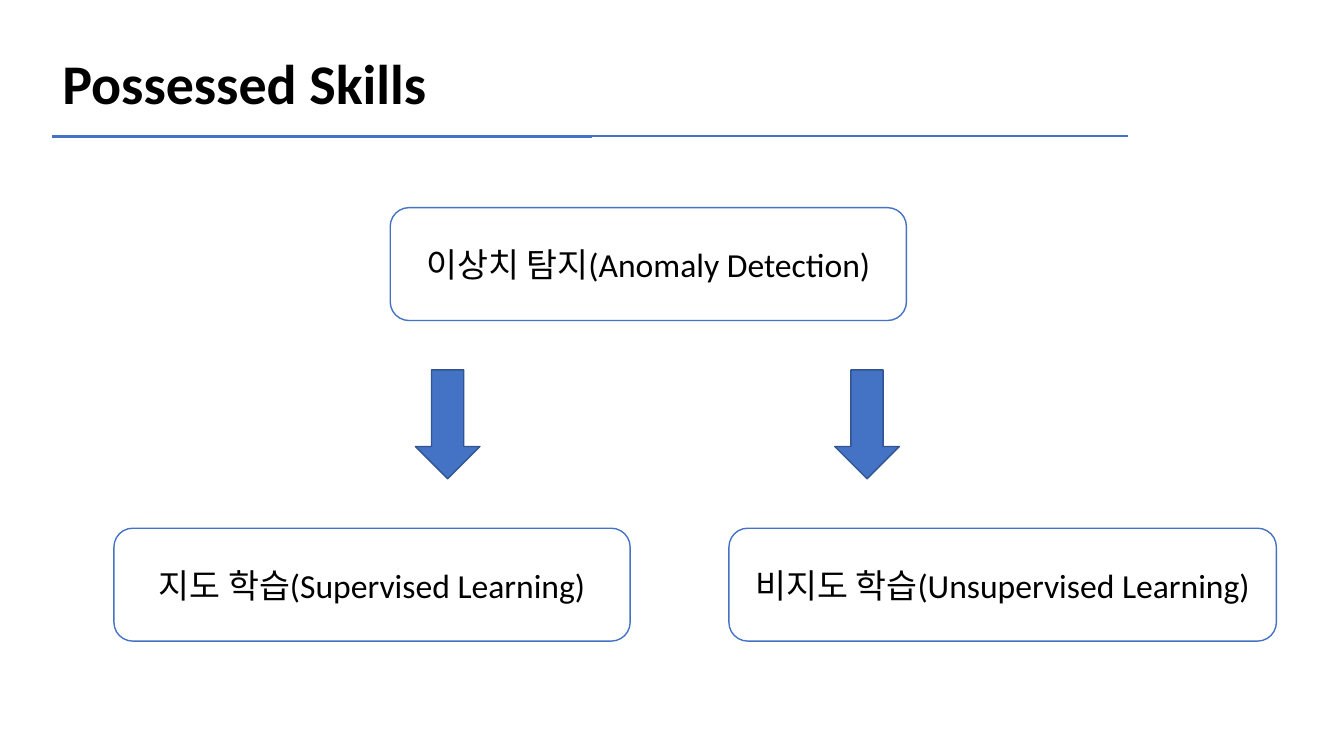
from dataclasses import dataclass

from lxml import etree
from pptx import Presentation
from pptx.dml.color import RGBColor
from pptx.enum.shapes import MSO_CONNECTOR, MSO_SHAPE
from pptx.enum.text import MSO_ANCHOR, PP_ALIGN
from pptx.oxml.ns import qn
from pptx.util import Pt

EMU_PER_PX = 9144  # 100 px to the inch
BLANK_LAYOUT = 6
ROUNDED = MSO_SHAPE.ROUNDED_RECTANGLE
DOWN_ARROW = MSO_SHAPE.DOWN_ARROW
STRAIGHT = MSO_CONNECTOR.STRAIGHT
MIDDLE = MSO_ANCHOR.MIDDLE
LEFT, CENTER = PP_ALIGN.LEFT, PP_ALIGN.CENTER


@dataclass(frozen=True)
class Theme:
    font: str = "Calibri"
    ink: str = "000000"
    paper: str = "FFFFFF"
    accent: str = "4472C4"
    accent_dark: str = "325491"
    title_size: int = 40
    label_size: int = 24
    thin: float = 1
    thick: float = 2.25


def px(*lengths):
    return [length * EMU_PER_PX for length in lengths]


def write(frame, text, *, size, color, font, bold=False, align=LEFT,
          line_spacing=None, space_after=None):
    """Fill a text frame with one vertically centred paragraph."""
    frame.word_wrap = True
    frame.vertical_anchor = MIDDLE
    para = frame.paragraphs[0]
    para.alignment = align
    para.line_spacing = line_spacing
    if space_after is not None:
        para.space_after = Pt(space_after)
    span = para.add_run()
    span.text = text
    span.font.name = font
    span.font.size = Pt(size)
    span.font.bold = bold
    span.font.color.rgb = RGBColor.from_string(color)


class Page:
    def __init__(self, slide, theme):
        self.shapes = slide.shapes
        self.theme = theme

    def title(self, text, left, top, width, height):
        box = self.shapes.add_textbox(*px(left, top, width, height))
        write(box.text_frame, text, size=self.theme.title_size, bold=True,
              color=self.theme.ink, font=self.theme.font,
              line_spacing=0.9, space_after=6)

    def rule(self, left, right, y, weight):
        line = self.shapes.add_connector(STRAIGHT, *px(left, y, right, y))
        line.line.color.rgb = RGBColor.from_string(self.theme.accent)
        line.line.width = Pt(weight)
        etree.SubElement(line._element.spPr, qn("a:effectLst"))

    def shape(self, kind, left, top, width, height, fill, outline):
        shape = self.shapes.add_shape(kind, *px(left, top, width, height))
        shape.shadow.inherit = False
        shape.fill.solid()
        shape.fill.fore_color.rgb = RGBColor.from_string(fill)
        shape.line.color.rgb = RGBColor.from_string(outline)
        shape.line.width = Pt(self.theme.thin)
        return shape

    def topic(self, text, left, top, width):
        box = self.shape(ROUNDED, left, top, width, 112,
                         self.theme.paper, self.theme.accent)
        write(box.text_frame, text, size=self.theme.label_size,
              color=self.theme.ink, font=self.theme.font, align=CENTER)

    def arrow(self, left, top):
        self.shape(DOWN_ARROW, left, top, 64, 108,
                   self.theme.accent, self.theme.accent_dark)


def main():
    deck = Presentation()
    deck.slide_width, deck.slide_height = px(1333, 750)
    theme = Theme()
    page = Page(deck.slides.add_slide(deck.slide_layouts[BLANK_LAYOUT]), theme)

    page.title("Possessed Skills", 52, 4, 656, 164)
    page.rule(52, 587, 135, theme.thick)
    page.rule(584, 1119, 135, theme.thin)

    page.topic("이상치 탐지(Anomaly Detection)", 387, 206, 512)
    for left in (412, 828):
        page.arrow(left, 367)
    page.topic("지도 학습(Supervised Learning)", 113, 524, 512)
    page.topic("비지도 학습(Unsupervised Learning)", 723, 524, 543)

    deck.save("out.pptx")


if __name__ == "__main__":
    main()
